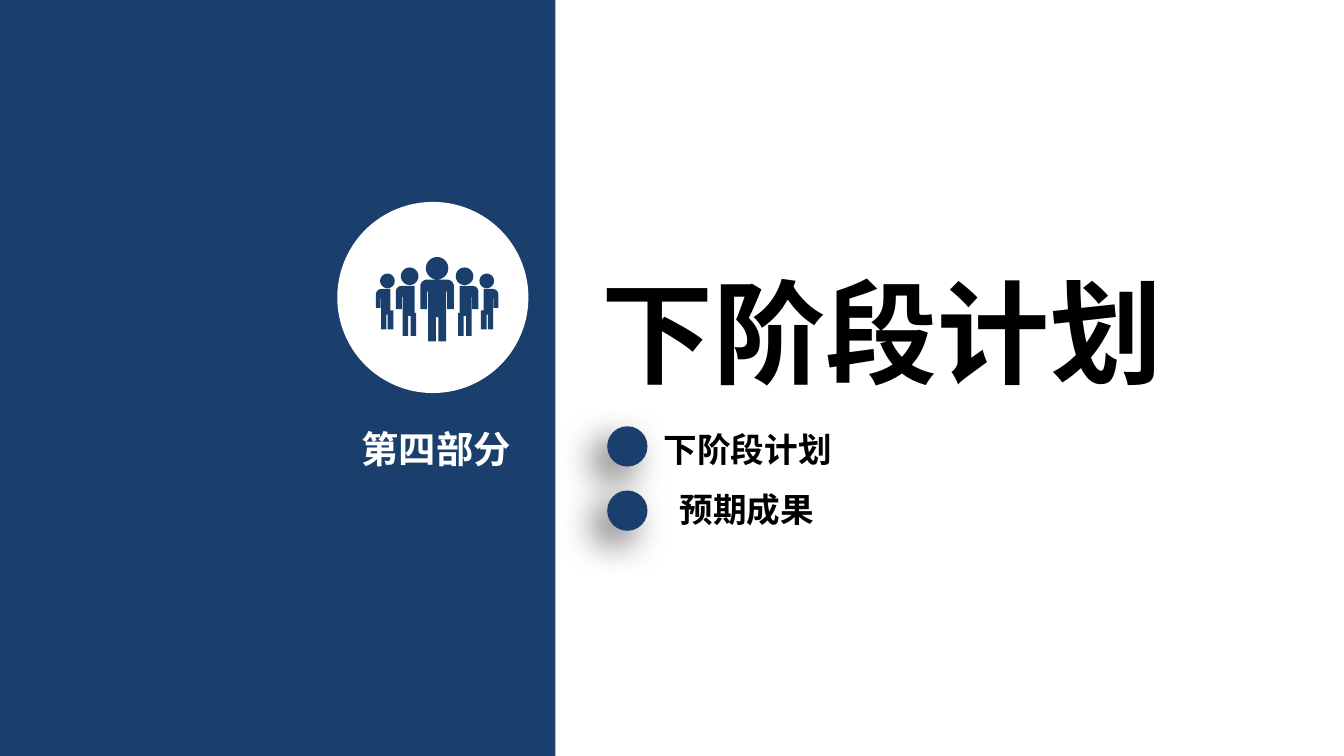
"""Build the section slide for the next-stage plan."""
from dataclasses import dataclass
from math import cos, pi, sin

from lxml import etree
from pptx import Presentation
from pptx.dml.color import RGBColor
from pptx.enum.shapes import MSO_SHAPE
from pptx.enum.text import MSO_AUTO_SIZE
from pptx.oxml.ns import qn
from pptx.shapes.autoshape import Shape
from pptx.util import Pt

RECT = MSO_SHAPE.RECTANGLE
OVAL = MSO_SHAPE.OVAL
GROW = MSO_AUTO_SIZE.SHAPE_TO_FIT_TEXT
FONT = "Noto Sans CJK SC"
HEX = {"navy": "1A3F6C", "white": "FFFFFF", "black": "000000"}
MID = 234.2

Points = list[tuple[float, float]]


@dataclass
class Label:
    text: str
    left: float
    top: float
    width: float
    height: float
    size: float
    color: str = "black"
    wrap: bool = False


@dataclass
class Side:
    head: tuple[float, float, float]
    chest: float
    leg: float
    gap: tuple[float, float]
    hip: float
    arm: float
    top: float
    pit: float
    hand: float
    waist: float
    fork: float
    foot: float


LABELS = [
    Label("下阶段计划", 315.4, 137.5, 314.6, 84.2, 60),
    Label("第四部分", 193.7, 228.2, 87.1, 25.9, 20, "white", True),
    Label("下阶段计划", 348.5, 226.1, 104.4, 30.2, 18),
    Label("预期成果", 357.1, 258.5, 86.4, 30.2, 18),
]
SIDES = [
    Side((14.7, 148, 4.7), 12, 11.2, (14.2, 15.5), 18.5, 22.1,
         153.2, 159, 165.6, 167.6, 169.2, 180),
    Side((26.6, 150.5, 3.9), 25, 23.5, (26.5, 27.2), 30, 32.8,
         154.8, 159.8, 164.9, 166.3, 168.5, 176.5),
]


def paint(shape: Shape, color: str) -> None:
    """Give a shape a flat fill with no line or shadow."""
    shape.shadow.inherit = False
    shape.fill.solid()
    shape.fill.fore_color.rgb = RGBColor.from_string(HEX[color])
    shape.line.fill.background()


def draw(shapes, kind: MSO_SHAPE, box: tuple, color: str) -> Shape:
    """Draw a flat preset shape."""
    shape = shapes.add_shape(kind, *map(Pt, box))
    paint(shape, color)
    return shape


def shade(shape: Shape) -> None:
    """Cast a soft shadow to the lower left."""
    list_ = shape._element.spPr.find(qn("a:effectLst"))
    outer = etree.SubElement(
        list_, qn("a:outerShdw"), blurRad=str(Pt(20)), dist=str(Pt(10)),
        dir=str(135 * 60000), algn="tr", rotWithShape="0")
    tint = etree.SubElement(outer, qn("a:srgbClr"), val=HEX["black"])
    etree.SubElement(tint, qn("a:alpha"), val="60000")


def write(shapes, label: Label) -> None:
    """Write one bold label."""
    box = shapes.add_textbox(
        Pt(label.left), Pt(label.top), Pt(label.width), Pt(label.height))
    frame = box.text_frame
    frame.text = label.text
    frame.word_wrap = label.wrap
    frame.auto_size = GROW
    if label.wrap:
        frame.margin_left = frame.margin_right = Pt(0)
        frame.margin_top = frame.margin_bottom = Pt(0)
    font = frame.paragraphs[0].runs[0].font
    font.name, font.size, font.bold = FONT, Pt(label.size), True
    font.color.rgb = RGBColor.from_string(HEX[label.color])
    etree.SubElement(font._element, qn("a:ea"), typeface=FONT)


def ring(x: float, y: float, radius: float) -> Points:
    """Return the outline of a round head."""
    turns = [2 * pi * step / 40 for step in range(40)]
    return [(x + radius * cos(t), y + radius * sin(t)) for t in turns]


def bend(x: float, y: float, radius: float) -> Points:
    """Return a rounded shoulder from its outer edge to its top."""
    turns = [pi / 2 * step / 6 for step in range(7)]
    return [(x - radius + radius * cos(t), y + radius - radius * sin(t))
            for t in turns]


def chief() -> Points:
    """Return the body of the middle person."""
    half = bend(9, 149.8, 3.6)[::-1] + [
        (9, 165.6), (5.4, 165.6), (5.4, 156.2), (4.8, 156.2),
        (4.8, 182.9), (0.7, 182.9), (0.7, 169.9)]
    return half + [(-x, y) for x, y in reversed(half)]


def body(side: Side) -> Points:
    """Return the body of a person at the right."""
    near, far = side.gap
    slot = side.hip + 0.3
    return bend(side.arm, side.top, 3) + [
        (side.chest, side.top), (side.chest, side.waist),
        (side.leg, side.waist), (side.leg, side.foot),
        (near, side.foot), (near, side.fork), (far, side.fork),
        (far, side.foot), (side.hip, side.foot), (side.hip, side.pit),
        (slot, side.pit), (slot, side.hand), (side.arm, side.hand)]


def crowd(shapes) -> None:
    """Draw five people as one outline."""
    parts = [ring(0, 143.7, 6), chief()]
    for side in SIDES:
        for part in (ring(*side.head), body(side)):
            parts += [part, [(-x, y) for x, y in part]]
    paths = [[(Pt(MID + x), Pt(y)) for x, y in part] for part in parts]
    pen = shapes.build_freeform(*paths[0][0])
    for index, path in enumerate(paths):
        if index:
            pen.move_to(*path[0])
        pen.add_line_segments(path[1:], close=True)
    paint(pen.convert_to_shape(), "navy")


def main() -> None:
    """Build and save the slide."""
    deck = Presentation()
    deck.slide_width, deck.slide_height = Pt(720), Pt(405)
    shapes = deck.slides.add_slide(deck.slide_layouts[6]).shapes
    draw(shapes, RECT, (0, 0, 297.5, 405), "navy")
    for label in LABELS:
        write(shapes, label)
    for row in range(2):
        shade(draw(shapes, OVAL, (325.3, 228.4 + 34.4 * row, 21.6, 21.6), "navy"))
    badge = shapes.add_group_shape().shapes
    draw(badge, OVAL, (180.7, 108.2, 102.4, 102.4), "white")
    crowd(badge)
    deck.save("out.pptx")


if __name__ == "__main__":
    main()
